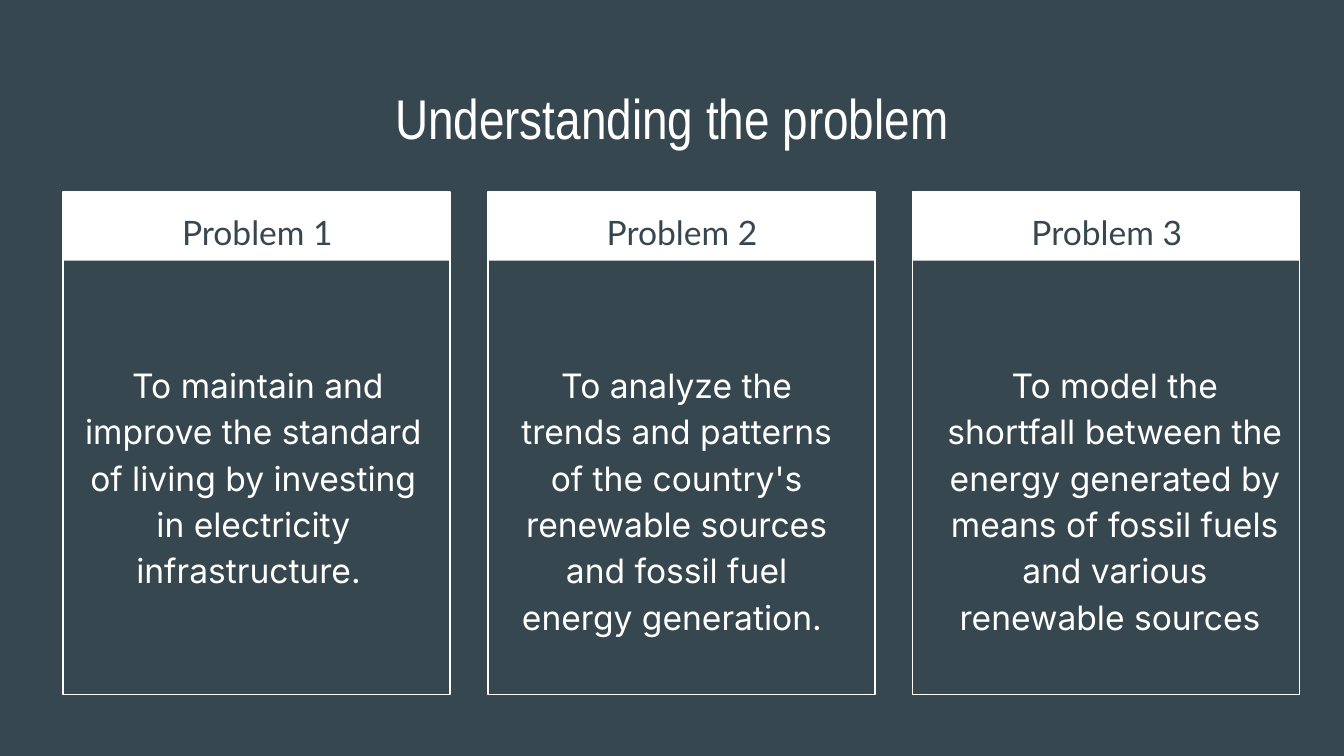
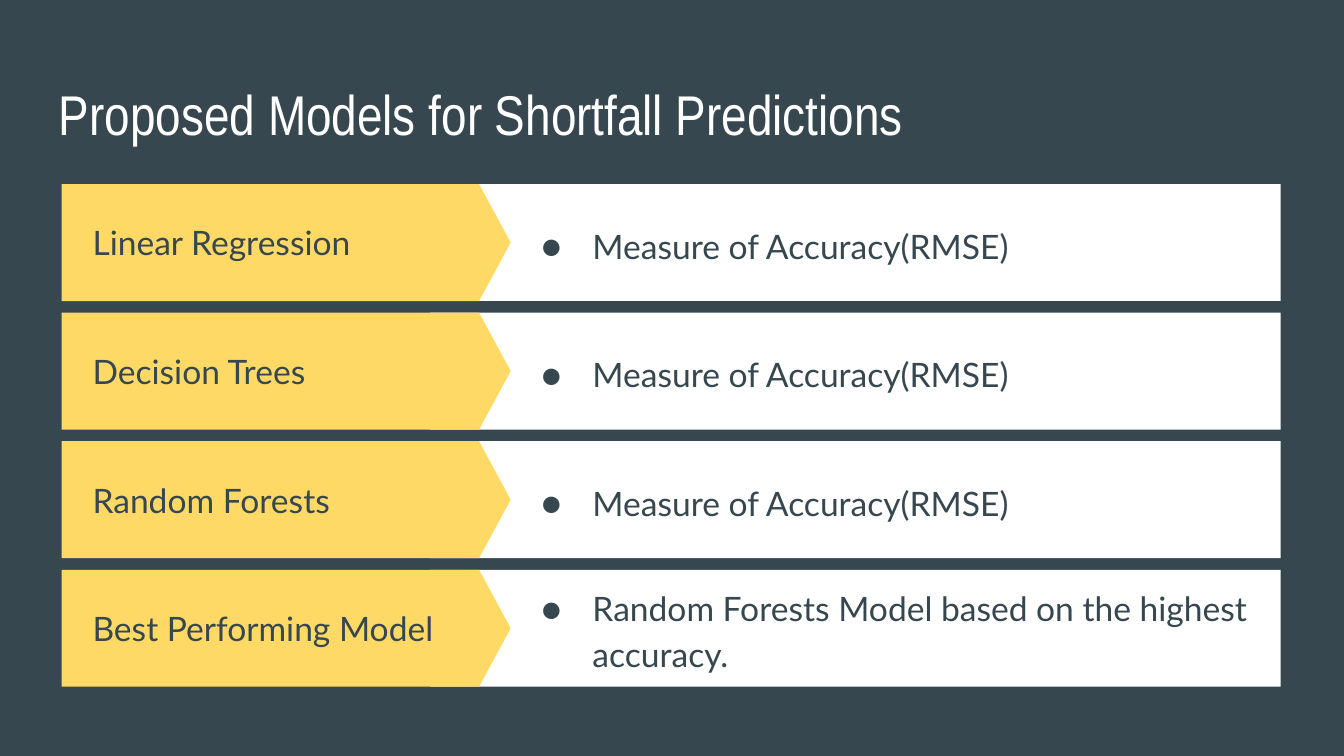
"""Build two slides: the energy problems and the models proposed for them."""
import dataclasses

import lxml.etree
import pptx
import pptx.dml.color
import pptx.enum.shapes
import pptx.enum.text
import pptx.oxml.ns
import pptx.util

Inches = pptx.util.Inches
ALIGN = pptx.enum.text.PP_ALIGN
ANCHOR = pptx.enum.text.MSO_ANCHOR
SHAPE = pptx.enum.shapes.MSO_SHAPE


@dataclasses.dataclass(frozen=True)
class Theme:
    slate: str = "37474F"
    white: str = "FFFFFF"
    yellow: str = "FFD966"
    title_font: str = "Arial Narrow"
    label_font: str = "Lato"
    body_font: str = "Inter"
    title_size: int = 30
    text_size: int = 18
    outline: float = 0.75
    inset: float = 0.1
    leading: float = 1.15


def rgb(code):
    return pptx.dml.color.RGBColor.from_string(code)


def apply(target, values):
    for name, value in values.items():
        setattr(target, name, value)


class Deck:
    def __init__(self, theme):
        self.theme = theme
        self.show = pptx.Presentation()
        width = Inches(10)
        apply(self.show, {"slide_width": width, "slide_height": width * 9 // 16})
        self.slide = None

    def new_slide(self, title, top, align):
        self.slide = self.show.slides.add_slide(self.show.slide_layouts[6])
        background = self.slide.background.fill
        background.solid()
        background.fore_color.rgb = rgb(self.theme.slate)
        self.text(title, (0.34, top, 9.32, 0.63), self.theme.white,
                  font=self.theme.title_font, size=self.theme.title_size, align=align)

    def shape(self, kind, box, fill=None, line=None):
        panel = self.slide.shapes.add_shape(kind, *map(Inches, box))
        panel.shadow.inherit = False
        if fill:
            panel.fill.solid()
            panel.fill.fore_color.rgb = rgb(fill)
        else:
            panel.fill.background()
        if line:
            panel.line.color.rgb = rgb(line)
            panel.line.width = pptx.util.Pt(self.theme.outline)
        else:
            panel.line.fill.background()
        return panel

    def text(self, words, box, color, font=None, size=None, align=ALIGN.LEFT,
             anchor=ANCHOR.TOP, leading=None, bullet=False):
        frame = self.slide.shapes.add_textbox(*map(Inches, box)).text_frame
        inset = Inches(self.theme.inset)
        apply(frame, {"word_wrap": True, "vertical_anchor": anchor,
                      "margin_left": inset, "margin_right": inset,
                      "margin_top": inset, "margin_bottom": inset})
        paragraph = frame.paragraphs[0]
        if bullet:
            self.bullet(paragraph, color)
        apply(paragraph, {"alignment": align, "line_spacing": leading})
        run = paragraph.add_run()
        run.text = words
        apply(run.font, {"name": font or self.theme.label_font,
                         "size": pptx.util.Pt(size or self.theme.text_size)})
        run.font.color.rgb = rgb(color)

    def bullet(self, paragraph, color):
        qn = pptx.oxml.ns.qn
        properties = paragraph._p.get_or_add_pPr()
        properties.set("marL", str(Inches(0.5)))
        properties.set("indent", str(Inches(-0.38)))
        tint = lxml.etree.SubElement(properties, qn("a:buClr"))
        lxml.etree.SubElement(tint, qn("a:srgbClr"), val=color)
        lxml.etree.SubElement(properties, qn("a:buFont"), typeface=self.theme.label_font)
        lxml.etree.SubElement(properties, qn("a:buChar"), char="●")

    def problem_card(self, left, heading, goal, goal_left):
        theme = self.theme
        centred = {"align": ALIGN.CENTER, "leading": theme.leading}
        self.shape(SHAPE.RECTANGLE, (left, 1.43, 2.88, 0.51), fill=theme.white)
        self.shape(SHAPE.RECTANGLE, (left, 1.43, 2.88, 3.74), line=theme.white)
        self.text(heading, (left + 0.08, 1.43, 2.73, 0.5), theme.slate, **centred)
        self.text(goal, (goal_left, 2.57, 2.71, 3.06), theme.white,
                  font=theme.body_font, **centred)

    def model_row(self, top, model, measure):
        theme, height = self.theme, 0.87
        self.shape(SHAPE.RECTANGLE, (3.2, top, 6.33, height), fill=theme.white)
        arrow = self.shape(SHAPE.PENTAGON, (0.46, top, 3.34, height), fill=theme.yellow)
        arrow.adjustments[0] = 0.27
        self.text(model, (0.59, top, 2.81, height), theme.slate, anchor=ANCHOR.MIDDLE)
        self.text(measure, (3.81, top, 5.59, height), theme.slate, anchor=ANCHOR.MIDDLE,
                  leading=theme.leading, bullet=True)


PROBLEMS = [
    (" To maintain and improve the standard of living by investing in "
     "electricity infrastructure. ", 0.53),
    ("To analyze the trends and patterns of the country's renewable sources "
     "and fossil fuel energy generation. ", 3.68),
    ("To model the shortfall between the energy generated by means of fossil "
     "fuels and various renewable sources ", 6.94),
]
ACCURACY = "Measure of Accuracy(RMSE)"
MODELS = [
    ("Linear Regression", ACCURACY),
    ("Decision Trees", ACCURACY),
    ("Random Forests", ACCURACY),
    ("Best Performing Model", "Random Forests Model based on the highest accuracy."),
]


def main():
    deck = Deck(Theme())
    deck.new_slide("Understanding the problem", 0.52, ALIGN.CENTER)
    for index, (goal, goal_left) in enumerate(PROBLEMS):
        deck.problem_card(0.47 + 3.16 * index, f"Problem {index + 1}", goal, goal_left)

    deck.new_slide("Proposed Models for Shortfall Predictions", 0.49, ALIGN.LEFT)
    first_top, last_top = 1.37, 4.24
    pitch = (last_top - first_top) / (len(MODELS) - 1)
    for index, (model, measure) in enumerate(MODELS):
        deck.model_row(first_top + pitch * index, model, measure)

    deck.show.save("out.pptx")


if __name__ == "__main__":
    main()
